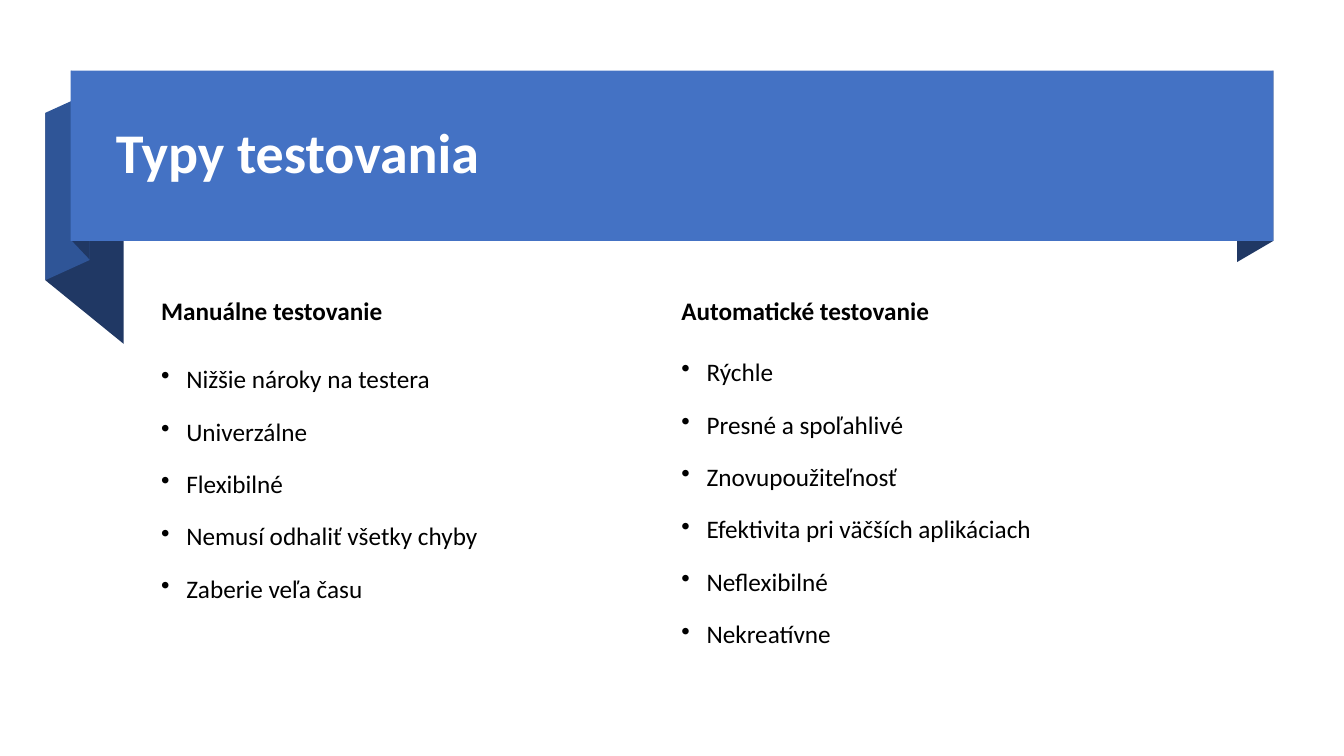
import collections
import dataclasses

import lxml.etree
import pptx
import pptx.dml.color
import pptx.enum.shapes
import pptx.enum.text
import pptx.oxml.ns
import pptx.util

Box = collections.namedtuple("Box", "left top width height")
MID = pptx.enum.text.MSO_ANCHOR.MIDDLE
TOP = pptx.enum.text.MSO_ANCHOR.TOP


@dataclasses.dataclass(frozen=True)
class Theme:
    """Colours, type sizes and font of the slide."""
    band: str = "4472C4"
    fold: str = "2F5597"
    deep: str = "203864"
    light: str = "FFFFFF"
    ink: str = "000000"
    font: str = "Calibri"
    title: int = 40
    body: int = 18


THEME = Theme()
COLS, ROWS = 133.3, 75
BAND = Box(7, 7, 119.3, 16.9)
HEAD_ROWS, LIST_ROWS = 6.2, 32.1
COLUMNS = [
    (Box(15, 27.9, 41.4, 38.3), 2.3, "Manuálne testovanie",
     ["Nižšie nároky na testera", "Univerzálne", "Flexibilné",
      "Nemusí odhaliť všetky chyby", "Zaberie veľa času"]),
    (Box(66.6, 27.9, 41.4, 38.3), 1.6, "Automatické testovanie",
     ["Rýchle", "Presné a spoľahlivé", "Znovupoužiteľnosť",
      "Efektivita pri väčších aplikáciach", "Neflexibilné", "Nekreatívne"]),
]


def cell(count):
    """Turn grid cells of a tenth of an inch into a length."""
    return pptx.util.Inches(count / 10)


def color(name):
    """Return the colour object for a hex value."""
    return pptx.dml.color.RGBColor.from_string(name)


def paint(shape, fill):
    """Give a shape a flat fill with no line or shadow."""
    shape.shadow.inherit = False
    shape.fill.solid()
    shape.fill.fore_color.rgb = color(fill)
    shape.line.fill.background()


def bullet(para):
    """Add a round bullet with a hanging indent."""
    props = para._p.get_or_add_pPr()
    props.set("marL", str(cell(2.5)))
    props.set("indent", str(-cell(2.5)))
    mark = lxml.etree.SubElement(props, pptx.oxml.ns.qn("a:buChar"))
    mark.set("char", "•")


def write(slide, box, lines, size=THEME.body, ink=THEME.ink, bold=False,
          dots=False, anchor=MID, inset=0.5):
    """Write one paragraph per line in a text box."""
    shape = slide.shapes.add_textbox(*map(cell, box))
    frame = shape.text_frame
    frame.word_wrap = True
    frame.vertical_anchor = anchor
    frame.margin_top = cell(inset)
    for index, line in enumerate(lines):
        para = frame.add_paragraph() if index else frame.paragraphs[0]
        if dots:
            bullet(para)
        para.line_spacing = 0.9
        if index:
            para.space_before = pptx.util.Pt(18)
        run = para.add_run()
        run.text = line
        run.font.name = THEME.font
        run.font.size = pptx.util.Pt(size)
        run.font.bold = bold
        run.font.color.rgb = color(ink)


def fold(slide, box, left, right, start, end, height, fill):
    """Draw a slanted ribbon piece relative to the band's corner."""
    points = [(left, start), (right, end),
              (right, end + height), (left, start + height)]
    points = [(cell(box.left + x), cell(box.top + y)) for x, y in points]
    pen = slide.shapes.build_freeform(*points[0])
    pen.add_line_segments(points[1:], close=True)
    paint(pen.convert_to_shape(), fill)


def banner(slide, box, title):
    """Draw the folded ribbon with its title."""
    edge = box.width
    fold(slide, box, -2.5, 5.25, 4.2, 10.5, 16.6, THEME.deep)
    fold(slide, box, -2.5, 1.9, 4.2, 2.2, 16.6, THEME.fold)
    fold(slide, box, 0.1, 1.9, 0, 1.9, 16.85, THEME.deep)
    fold(slide, box, edge - 3.6, edge, 2.1, 0, 16.9, THEME.deep)
    kind = pptx.enum.shapes.MSO_SHAPE.RECTANGLE
    paint(slide.shapes.add_shape(kind, *map(cell, box)), THEME.band)
    inner = Box(box.left + 3.5, box.top + 1.8, box.width - 7, box.height - 3.6)
    write(slide, inner, [title], size=THEME.title, ink=THEME.light, bold=True)


def column(slide, box, inset, head, items):
    """Place a heading above its bulleted list."""
    write(slide, box._replace(height=HEAD_ROWS), [head], bold=True)
    body = box._replace(top=box.top + HEAD_ROWS, height=LIST_ROWS)
    write(slide, body, items, dots=True, anchor=TOP, inset=inset)


def main():
    """Build and save the slide."""
    deck = pptx.Presentation()
    deck.slide_width, deck.slide_height = cell(COLS), cell(ROWS)
    slide = deck.slides.add_slide(deck.slide_layouts[6])
    banner(slide, BAND, "Typy testovania")
    for part in COLUMNS:
        column(slide, *part)
    deck.save("out.pptx")


if __name__ == "__main__":
    main()
